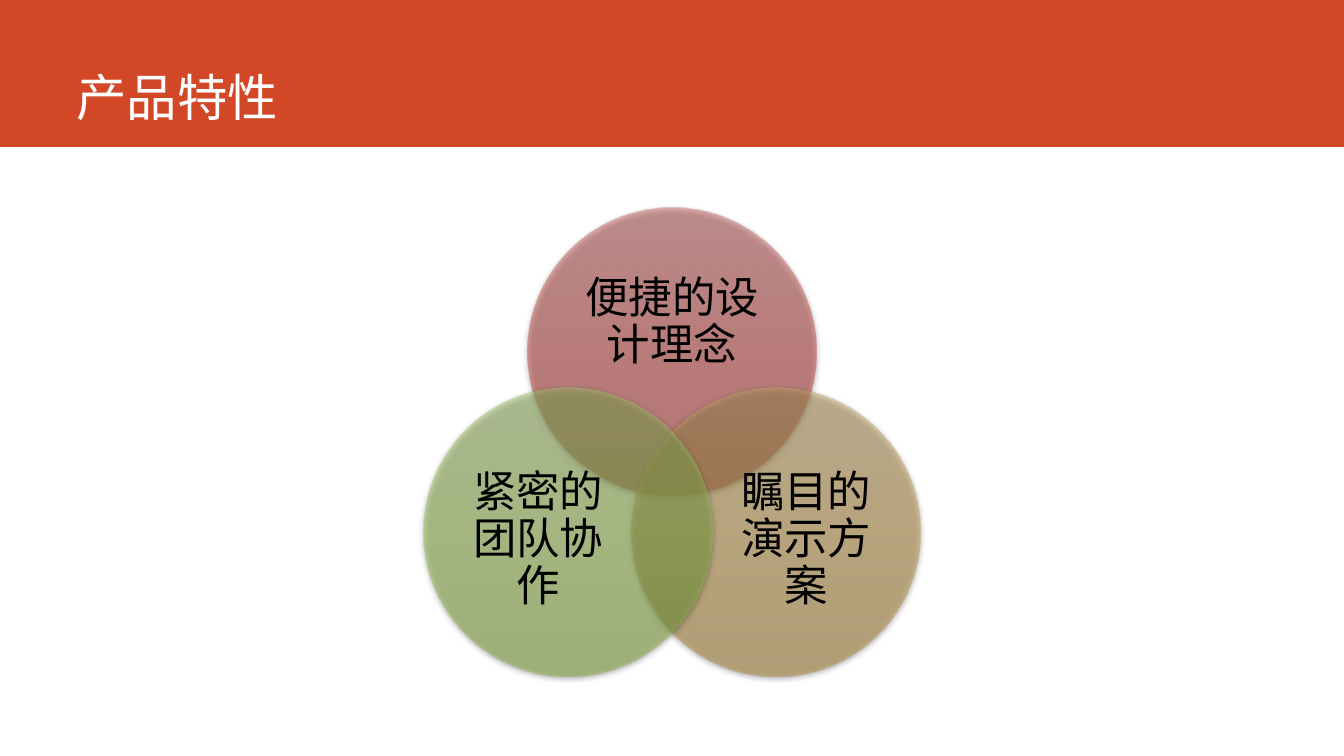
from dataclasses import dataclass
from math import cos, radians, sin

from lxml import etree
from pptx import Presentation
from pptx.dml.color import RGBColor
from pptx.enum.shapes import MSO_SHAPE
from pptx.enum.text import MSO_ANCHOR, PP_ALIGN
from pptx.oxml import parse_xml
from pptx.oxml.ns import nsdecls, qn
from pptx.slide import Slide
from pptx.text.text import TextFrame
from pptx.util import Pt

RECTANGLE, OVAL = MSO_SHAPE.RECTANGLE, MSO_SHAPE.OVAL
MIDDLE, BOTTOM = MSO_ANCHOR.MIDDLE, MSO_ANCHOR.BOTTOM
LEFT, CENTER = PP_ALIGN.LEFT, PP_ALIGN.CENTER

SLIDE_WIDTH, SLIDE_HEIGHT = 960, 540
BAND_HEIGHT = 105
TITLE_BOX = (47.5, 0, 847, 95)
CIRCLE_SIZE = 206
VENN_CENTER = (480, 337)
VENN_RADIUS = 85.7
LATIN_FONT, CHINESE_FONT = "Roboto", "Noto Sans CJK SC"

COLORS = {
    "band": "D24726",
    "title": "FFFFFF",
    "label": "000000",
    "shadow": "000000",
}


@dataclass(frozen=True)
class Feature:
    label: str
    angle: float
    gradient: tuple[str, str, str]
    label_box: tuple[float, float, float, float]


FEATURES = (
    Feature("便捷的设计理念", -90, ("C76967", "C64B47", "B63C39"), (404.6, 184.3, 150.8, 92.5)),
    Feature("瞩目的演示方案", 30, ("C5A66B", "C39D4E", "B38E3F"), (514.1, 329.8, 123.4, 113)),
    Feature("紧密的团队协作", 150, ("A6C36F", "9DC054", "8DB045"), (322.6, 329.8, 123.4, 113)),
)


def add_text(frame: TextFrame, text: str, size: float, color: str,
             align: PP_ALIGN, latin_font: str) -> None:
    paragraph = frame.paragraphs[0]
    paragraph.alignment = align
    paragraph.line_spacing = 0.9
    run = paragraph.add_run()
    run.text = text
    run.font.size = Pt(size)
    run.font.name = latin_font
    run.font.color.rgb = RGBColor.from_string(color)
    east_asian = etree.SubElement(run.font._element, qn("a:ea"))
    east_asian.set("typeface", CHINESE_FONT)


def add_title(slide: Slide) -> None:
    band = slide.shapes.add_shape(RECTANGLE, 0, 0, Pt(SLIDE_WIDTH), Pt(BAND_HEIGHT))
    band.shadow.inherit = False
    band.fill.solid()
    band.fill.fore_color.rgb = RGBColor.from_string(COLORS["band"])
    band.line.fill.background()
    title = slide.shapes.title
    band._element.addnext(title._element)
    title.left, title.top, title.width, title.height = map(Pt, TITLE_BOX)
    title.text_frame.vertical_anchor = BOTTOM
    add_text(title.text_frame, "产品特性", 36, COLORS["title"], LEFT, CHINESE_FONT)


def apply_glass_style(circle, gradient: tuple[str, str, str]) -> None:
    """Give the circle a half-transparent vertical gradient and a soft shadow."""
    stops = "".join(
        f'<a:gs pos="{index * 50000}"><a:srgbClr val="{color}">'
        '<a:alpha val="50000"/></a:srgbClr></a:gs>'
        for index, color in enumerate(gradient)
    )
    fill = parse_xml(
        f'<a:gradFill {nsdecls("a")} rotWithShape="1"><a:gsLst>{stops}</a:gsLst>'
        '<a:lin ang="5400000" scaled="0"/></a:gradFill>'
    )
    shadow = parse_xml(
        f'<a:effectLst {nsdecls("a")}><a:outerShdw blurRad="{Pt(4.5)}" '
        f'dist="{Pt(1.5)}" dir="5400000" rotWithShape="0">'
        f'<a:srgbClr val="{COLORS["shadow"]}"><a:alpha val="63000"/></a:srgbClr>'
        '</a:outerShdw></a:effectLst>'
    )
    circle.line.fill.background()
    properties = circle._element.spPr
    properties.find(qn("a:prstGeom")).addnext(fill)
    properties.append(shadow)


def add_feature(slide: Slide, feature: Feature) -> None:
    angle = radians(feature.angle)
    left = VENN_CENTER[0] + VENN_RADIUS * cos(angle) - CIRCLE_SIZE / 2
    top = VENN_CENTER[1] + VENN_RADIUS * sin(angle) - CIRCLE_SIZE / 2
    circle = slide.shapes.add_shape(
        OVAL, Pt(left), Pt(top), Pt(CIRCLE_SIZE), Pt(CIRCLE_SIZE))
    apply_glass_style(circle, feature.gradient)

    label = slide.shapes.add_textbox(*map(Pt, feature.label_box)).text_frame
    label.word_wrap = True
    label.vertical_anchor = MIDDLE
    label.margin_left = label.margin_right = label.margin_top = label.margin_bottom = 0
    add_text(label, feature.label, 31, COLORS["label"], CENTER, LATIN_FONT)


def main() -> None:
    presentation = Presentation()
    presentation.slide_width = Pt(SLIDE_WIDTH)
    presentation.slide_height = Pt(SLIDE_HEIGHT)
    slide = presentation.slides.add_slide(presentation.slide_layouts[5])
    add_title(slide)
    for feature in FEATURES:
        add_feature(slide, feature)
    presentation.save("out.pptx")


if __name__ == "__main__":
    main()
